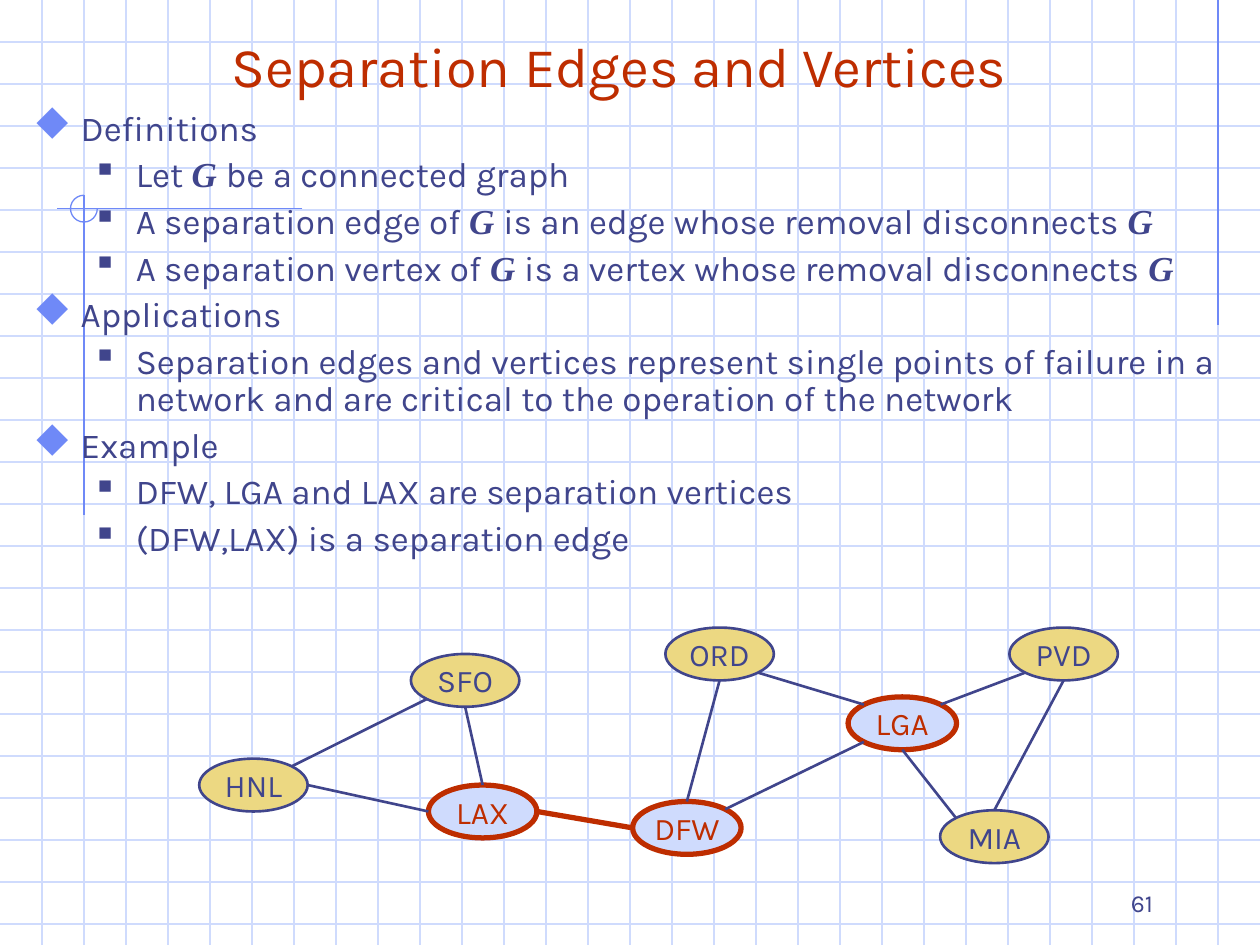
from dataclasses import dataclass
from math import cos, radians, sin

from lxml import etree
from pptx import Presentation
from pptx.dml.color import RGBColor
from pptx.enum.shapes import MSO_CONNECTOR, MSO_SHAPE
from pptx.enum.text import MSO_ANCHOR, MSO_AUTO_SIZE, PP_ALIGN
from pptx.oxml.ns import qn
from pptx.util import Pt

LINE = MSO_CONNECTOR.STRAIGHT
OVAL, ARC = MSO_SHAPE.OVAL, MSO_SHAPE.ARC
LEFT, MID, RIGHT = PP_ALIGN.LEFT, PP_ALIGN.CENTER, PP_ALIGN.RIGHT
HIGH, CORE, LOW = MSO_ANCHOR.TOP, MSO_ANCHOR.MIDDLE, MSO_ANCHOR.BOTTOM
FIXED = MSO_AUTO_SIZE.NONE


@dataclass(frozen=True)
class Theme:
    ink: str = "40458C"
    red: str = "BE2D00"
    blue: str = "6F89F7"
    pale: str = "CFDBFD"
    sand: str = "ECD882"
    sans: str = "Karla"
    serif: str = "Times New Roman"
    marks: str = "Wingdings"
    head: int = 32
    text: int = 20
    node: int = 18
    foot: int = 14
    thin: float = 0.75
    edge: float = 1.5
    bold: float = 3


T = Theme()
WIDE, TALL, STEP = 720, 540, 24

BULLETS = [
    {"char": "u", "color": T.blue, "size": 110, "left": 27, "hang": 27},
    {"char": "§", "color": T.ink, "size": 60, "left": 58.5, "hang": 22.5},
]
BULLETS[1]["size"] = 110

POINTS = [
    (0, "Definitions"),
    (1, "Let |G |be a connected graph"),
    (1, "A separation edge of |G |is an edge whose removal disconnects |G"),
    (1, "A separation vertex of |G |is a vertex whose removal disconnects |G"),
    (0, "Applications"),
    (1, "Separation edges and vertices represent single points of failure in a "
        "network and are critical to the operation of the network"),
    (0, "Example"),
    (1, "DFW, LGA and LAX are separation vertices"),
    (1, "(DFW,LAX) is a separation edge"),
]

NODES = {
    "ORD": (266.4, 0), "PVD": (463, 0), "MIA": (423.4, 104.4),
    "DFW": (247.7, 99.4), "SFO": (121, 15.1), "LAX": (131, 90),
    "LGA": (370.8, 39.6), "HNL": (0, 74.9),
}
CUTS = {"DFW", "LAX", "LGA"}
BRIDGE = ("LAX", "DFW")
ANGLES = {"E": 0, "NE": 45, "N": 90, "NW": 135, "W": 180, "SW": 225, "S": 270, "SE": 315}
EDGES = [
    ("DFW", "N", "ORD", "S"), ("DFW", "NE", "LGA", "SW"),
    ("LGA", "NE", "PVD", "SW"), ("HNL", "E", "LAX", "W"),
    ("SFO", "S", "LAX", "N"), ("LGA", "S", "MIA", "NW"),
    ("LGA", "NW", "ORD", "SE"), ("LAX", "E", "DFW", "W"),
    ("HNL", "NE", "SFO", "SW"), ("MIA", "N", "PVD", "S"),
]


def apply(item, values):
    for name, value in values.items():
        setattr(item, name, value)


def style(font, size, color, **more):
    apply(font, {"size": Pt(size), "name": T.sans, **more})
    font.color.rgb = RGBColor.from_string(color)


def stroke(shape, color, width):
    shape.line.color.rgb = RGBColor.from_string(color)
    shape.line.width = Pt(width)


def rule(slide, ends, color, width):
    line = slide.shapes.add_connector(LINE, *map(Pt, ends))
    stroke(line, color, width)
    etree.SubElement(line._element.spPr, qn("a:effectLst"))


def write(shape, text, size, color, align, anchor, wrap=True):
    frame = shape.text_frame
    apply(frame, {"auto_size": FIXED, "word_wrap": wrap, "vertical_anchor": anchor})
    para = frame.paragraphs[0]
    para.alignment = align
    run = para.add_run()
    run.text = text
    style(run.font, size, color)


def grid(slide, box):
    x, y, w, h = box
    for top in range(y + STEP, y + h, STEP):
        rule(slide, (x, top, x + w, top), T.pale, T.thin)
    for left in range(x + STEP, x + w, STEP):
        rule(slide, (left, y, left, y + h), T.pale, T.thin)


def trim(slide, box):
    x, y, w, h = box
    rule(slide, (x + w - STEP, y, x + w - STEP, y + 186), T.blue, T.thin)
    rule(slide, (x + 172.8, y + 119.3, x + 32.5, y + 119.3), T.blue, T.thin)
    rule(slide, (x + 48, y + 111.6, x + 48, y + 294.5), T.blue, T.thin)
    arc = slide.shapes.add_shape(ARC, Pt(x + 40.3), Pt(y + 111.6), Pt(15.3), Pt(15.3))
    arc.adjustments[0], arc.adjustments[1] = 0, 162
    arc.shadow.inherit = False
    arc.fill.background()
    stroke(arc, T.blue, T.thin)


def title(slide, box):
    head = slide.shapes.title
    apply(head, dict(zip(("left", "top", "width", "height"), map(Pt, box))))
    write(head, "Separation Edges and Vertices", T.head, T.red, MID, LOW)
    tree = head._element.getparent()
    tree.append(head._element)


def bullet(para, mark):
    props = para._p.get_or_add_pPr()
    props.set("marL", str(Pt(mark["left"])))
    props.set("indent", str(-Pt(mark["hang"])))
    color = etree.SubElement(props, qn("a:buClr"))
    etree.SubElement(color, qn("a:srgbClr"), val=mark["color"])
    etree.SubElement(props, qn("a:buSzPct"), val=str(mark["size"] * 1000))
    etree.SubElement(props, qn("a:buFont"), typeface=T.marks, charset="2")
    etree.SubElement(props, qn("a:buChar"), char=mark["char"])


def body(slide, box):
    frame = slide.shapes.add_textbox(*map(Pt, box)).text_frame
    apply(frame, {"word_wrap": True, "vertical_anchor": HIGH})
    for spot, (level, text) in enumerate(POINTS):
        para = frame.add_paragraph() if spot else frame.paragraphs[0]
        bullet(para, BULLETS[level])
        apply(para, {"level": level, "alignment": LEFT, "line_spacing": 0.9,
                     "space_before": Pt(5 if spot else 0)})
        for part, words in enumerate(text.split("|")):
            run = para.add_run()
            run.text = words
            more = {"name": T.serif, "bold": True, "italic": True} if part % 2 else {}
            style(run.font, T.text, T.ink, **more)


def graph(slide, box):
    x, y, w, h = box

    def port(name, side):
        left, top = NODES[name]
        turn = radians(ANGLES[side])
        return x + left + w / 2 * (1 + cos(turn)), y + top + h / 2 * (1 - sin(turn))

    for name, (left, top) in NODES.items():
        node = slide.shapes.add_shape(OVAL, Pt(x + left), Pt(y + top), Pt(w), Pt(h))
        cut = name in CUTS
        color = T.red if cut else T.ink
        node.shadow.inherit = False
        node.fill.solid()
        node.fill.fore_color.rgb = RGBColor.from_string(T.pale if cut else T.sand)
        stroke(node, color, T.bold if cut else T.edge)
        write(node, name, T.node, color, MID, CORE, wrap=False)
    for start, out, end, into in EDGES:
        key = (start, end) == BRIDGE
        rule(slide, port(start, out) + port(end, into),
             T.red if key else T.ink, T.bold if key else T.edge)


def number(slide, box):
    write(slide.shapes.add_textbox(*map(Pt, box)), "61", T.foot, T.ink, RIGHT, LOW)


def main():
    deck = Presentation()
    deck.slide_width, deck.slide_height = Pt(WIDE), Pt(TALL)
    slide = deck.slides.add_slide(deck.slide_layouts[5])
    grid(slide, (0, 0, WIDE, TALL))
    trim(slide, (0, 0, WIDE, TALL))
    title(slide, (48, 24, 612, 36))
    body(slide, (12, 60, 708, 313))
    graph(slide, (113.8, 358.6, 62, 30.2))
    number(slide, (516, 492, 150, 36))
    deck.save("out.pptx")


if __name__ == "__main__":
    main()
